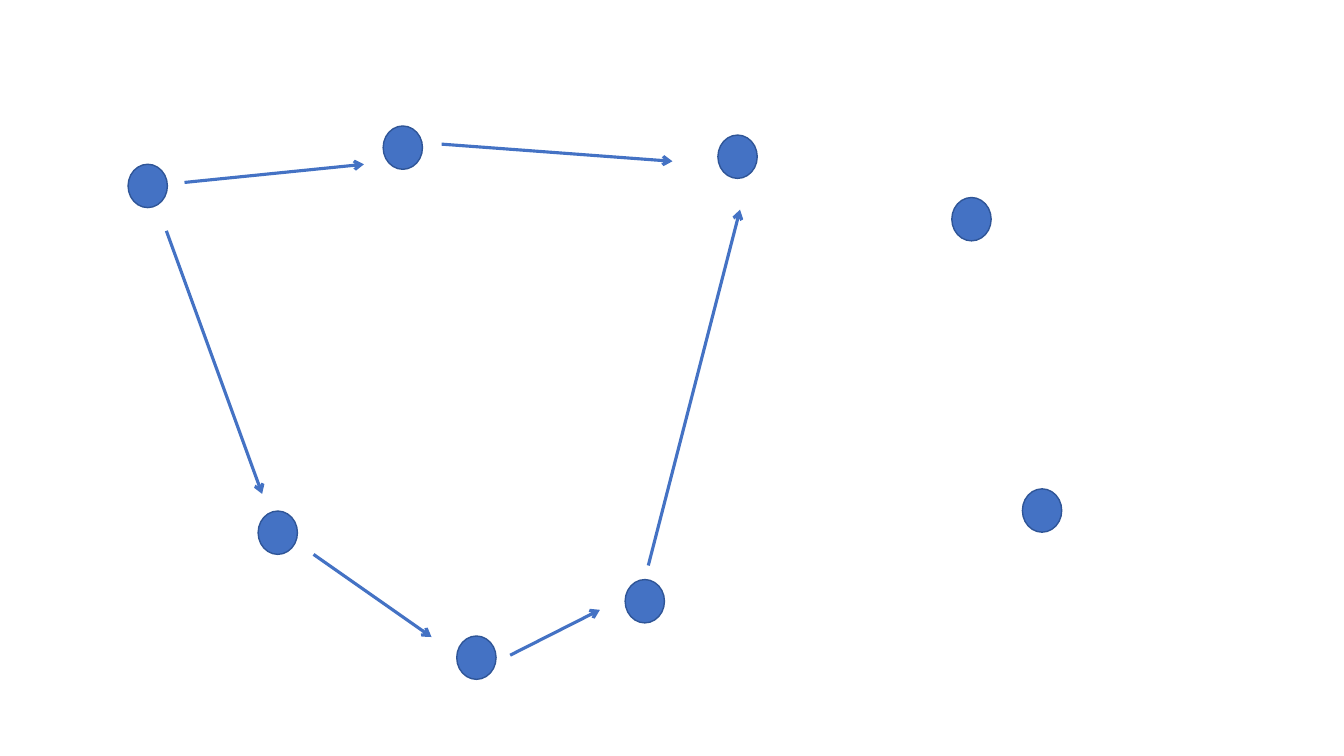
from dataclasses import dataclass

from lxml.etree import SubElement
from pptx import Presentation
from pptx.dml.color import RGBColor
from pptx.enum.shapes import MSO_CONNECTOR as Connector, MSO_SHAPE as Shape
from pptx.oxml.ns import qn
from pptx.util import Inches, Pt


@dataclass(frozen=True)
class Theme:
    node_fill: RGBColor = RGBColor(0x44, 0x72, 0xC4)
    node_outline: RGBColor = RGBColor(0x2F, 0x55, 0x97)
    edge: RGBColor = RGBColor(0x44, 0x72, 0xC4)
    outline_width: int = Pt(1)
    edge_width: int = Pt(2.25)


THEME = Theme()
WIDTH, HEIGHT = Inches(13.33), Inches(7.5)
COLUMNS, ROWS = 133.3, 75
NODE_COLUMNS, NODE_ROWS = 3.9, 4.3

NODES = [
    (12.7, 16.3),
    (101.4, 48.5),
    (94.4, 19.6),
    (45.3, 63.1),
    (38, 12.5),
    (25.6, 50.7),
    (62, 57.5),
    (71.2, 13.4),
]

EDGES = [
    ((18.3, 18.1), (36.1, 16.3)),
    ((31.1, 55), (42.8, 63.2)),
    ((16.5, 22.9), (26, 49)),
    ((43.8, 14.3), (66.7, 16)),
    ((50.6, 65), (59.5, 60.5)),
    ((64.3, 56.1), (73.4, 20.8)),
]


def grid(column, row):
    return round(WIDTH * column / COLUMNS), round(HEIGHT * row / ROWS)


def add_node(slide, corner):
    node = slide.shapes.add_shape(
        Shape.OVAL, *grid(*corner), *grid(NODE_COLUMNS, NODE_ROWS))
    node.shadow.inherit = False
    node.fill.solid()
    node.fill.fore_color.rgb = THEME.node_fill
    node.line.color.rgb = THEME.node_outline
    node.line.width = THEME.outline_width


def add_edge(slide, start, end):
    edge = slide.shapes.add_connector(
        Connector.STRAIGHT, *grid(*start), *grid(*end))
    edge.line.color.rgb = THEME.edge
    edge.line.width = THEME.edge_width
    SubElement(edge.line._get_or_add_ln(), qn("a:tailEnd"), type="arrow")
    SubElement(edge._element.spPr, qn("a:effectLst"))


def main():
    deck = Presentation()
    deck.slide_width, deck.slide_height = WIDTH, HEIGHT
    slide = deck.slides.add_slide(deck.slide_layouts.get_by_name("Blank"))
    for corner in NODES:
        add_node(slide, corner)
    for start, end in EDGES:
        add_edge(slide, start, end)
    deck.save("out.pptx")


if __name__ == "__main__":
    main()
